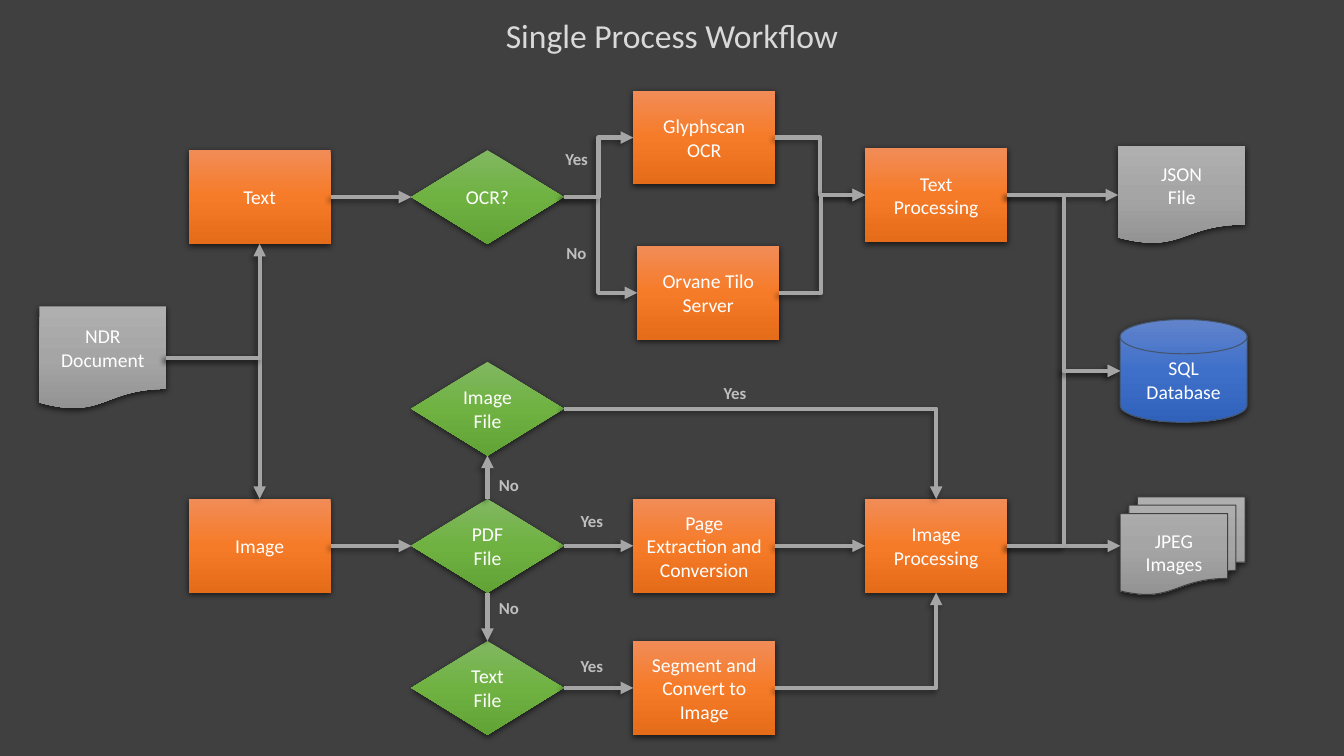
"""Build the Single Process Workflow slide as a flowchart of glued shapes."""
from copy import deepcopy
from dataclasses import dataclass

from lxml import etree
from pptx import Presentation
from pptx import util as u
from pptx.dml.color import RGBColor
from pptx.enum import shapes, text
from pptx.oxml import ns

BACKGROUND = RGBColor(0x40, 0x40, 0x40)
WHITE = RGBColor(0xFF, 0xFF, 0xFF)
TITLE = RGBColor(0xD9, 0xD9, 0xD9)
LABEL = RGBColor(0xBF, 0xBF, 0xBF)
ARROW = RGBColor(0xA5, 0xA5, 0xA5)
DISK_EDGE = RGBColor(0x44, 0x54, 0x6A)
ORANGE = (RGBColor(0xF1, 0x8C, 0x57), RGBColor(0xF6, 0x7B, 0x28), RGBColor(0xE5, 0x6C, 0x19))
GREEN = (RGBColor(0x81, 0xB8, 0x61), RGBColor(0x6F, 0xB2, 0x42), RGBColor(0x62, 0xA3, 0x36))
GRAY = (RGBColor(0xAF, 0xAF, 0xAF), RGBColor(0xA5, 0xA5, 0xA5), RGBColor(0x93, 0x93, 0x93))
BLUE = (RGBColor(0x61, 0x83, 0xCB), RGBColor(0x3E, 0x70, 0xCA), RGBColor(0x30, 0x62, 0xBB))

FONT = "Calibri"
SLIDE_WIDTH, SLIDE_HEIGHT = 13.33, 7.5
TOP, LEFT, BOTTOM, RIGHT = range(4)
DISK_LEFT = 2


@dataclass(frozen=True)
class Kind:
    preset: shapes.MSO_SHAPE
    colors: tuple
    width: float
    height: float
    edge: RGBColor | None = None


@dataclass(frozen=True)
class Step:
    name: str
    kind: Kind
    left: float
    top: float
    wording: str


@dataclass(frozen=True)
class Flow:
    start: str
    end: str
    start_side: int = RIGHT
    end_side: int = LEFT
    route: str = "line"
    bend: float = 0.5


@dataclass(frozen=True)
class Label:
    wording: str
    left: float
    top: float


PROCESS = Kind(shapes.MSO_SHAPE.RECTANGLE, ORANGE, 1.41, 0.93)
DECISION = Kind(shapes.MSO_SHAPE.FLOWCHART_DECISION, GREEN, 1.51, 0.93)
DOCUMENT = Kind(shapes.MSO_SHAPE.FLOWCHART_DOCUMENT, GRAY, 1.26, 1.02)
JSON = Kind(shapes.MSO_SHAPE.FLOWCHART_DOCUMENT, GRAY, 1.26, 0.97)
DISK = Kind(shapes.MSO_SHAPE.FLOWCHART_MAGNETIC_DISK, BLUE, 1.26, 1.02, DISK_EDGE)
STACK = Kind(shapes.MSO_SHAPE.FLOWCHART_MULTIDOCUMENT, GRAY, 1.24, 0.97, BACKGROUND)

BRANCH, CHECK, CONVERT, FINISH = 1.87, 4.08, 6.28, 8.58
TEXT_ROW, IMAGE_ROW, SEGMENT_ROW = 1.49, 4.95, 6.36

STEPS = [
    Step("source", DOCUMENT, 0.39, 3.04, "NDR\nDocument"),
    Step("ocr engine", PROCESS, CONVERT, 0.9, "Glyphscan\nOCR"),
    Step("text server", PROCESS, 6.32, 2.44, "Orvane Tilo\nServer"),
    Step("text processing", PROCESS, FINISH, 1.47, "Text\nProcessing"),
    Step("json", JSON, 11.09, 1.45, "JSON\nFile"),
    Step("database", DISK, 11.11, 3.17, "SQL\nDatabase"),
    Step("jpeg", STACK, 11.11, 4.93, "JPEG\nImages"),
    Step("extraction", PROCESS, CONVERT, IMAGE_ROW, "Page Extraction and Conversion"),
    Step("segment", PROCESS, CONVERT, SEGMENT_ROW, "Segment and Convert to Image"),
    Step("image processing", PROCESS, FINISH, IMAGE_ROW, "Image\nProcessing"),
    Step("image file", DECISION, CHECK, 3.59, "Image File"),
    Step("pdf file", DECISION, CHECK, IMAGE_ROW, "PDF\nFile"),
    Step("text file", DECISION, CHECK, SEGMENT_ROW, "Text File"),
    Step("image", PROCESS, BRANCH, IMAGE_ROW, "Image"),
    Step("text", PROCESS, BRANCH, TEXT_ROW, "Text"),
    Step("ocr", DECISION, CHECK, TEXT_ROW, "OCR?"),
]

FLOWS = [
    Flow("source", "image", end_side=TOP, route="corner"),
    Flow("source", "text", end_side=BOTTOM, route="corner"),
    Flow("image", "pdf file"),
    Flow("pdf file", "extraction"),
    Flow("text file", "segment"),
    Flow("pdf file", "image file", TOP, BOTTOM),
    Flow("pdf file", "text file", BOTTOM, TOP),
    Flow("image file", "image processing", end_side=TOP, route="corner"),
    Flow("segment", "image processing", end_side=BOTTOM, route="corner"),
    Flow("extraction", "image processing"),
    Flow("image processing", "jpeg"),
    Flow("image processing", "database", end_side=DISK_LEFT, route="step"),
    Flow("text processing", "json"),
    Flow("text processing", "database", end_side=DISK_LEFT, route="step"),
    Flow("text", "ocr"),
    Flow("ocr", "text server", route="step", bend=0.47),
    Flow("ocr", "ocr engine", route="step"),
    Flow("ocr engine", "text processing", route="step"),
    Flow("text server", "text processing", route="step", bend=0.49),
]

LABELS = [
    Label("Yes", 5.66, 5.02), Label("No", 4.85, 5.88), Label("No", 4.85, 4.66),
    Label("Yes", 5.66, 6.46), Label("Yes", 7.08, 3.75), Label("No", 5.52, 2.36),
    Label("Yes", 5.51, 1.43),
]


def write(frame, wording: str, *, size: float, color: RGBColor, bold: bool = False,
          align=text.PP_ALIGN.LEFT) -> None:
    frame.word_wrap = True
    frame.text = wording
    for paragraph in frame.paragraphs:
        paragraph.alignment = align
        font = paragraph.runs[0].font
        font.name, font.size, font.bold = FONT, u.Pt(size), bold
        font.color.rgb = color


def add_child(parent, tag: str, **attributes):
    values = {name: str(value) for name, value in attributes.items()}
    return etree.SubElement(parent, ns.qn(f"a:{tag}"), values)


def cast_shadow(effects, blur: float, distance: float, angle: int, opacity: int) -> None:
    shadow = add_child(effects, "outerShdw", blurRad=u.Pt(blur), dist=u.Pt(distance),
                       dir=angle * 60000, algn="ctr", rotWithShape=0)
    color = add_child(shadow, "srgbClr", val="000000")
    add_child(color, "alpha", val=opacity * 1000)


def fill_gradient(shape, colors: tuple) -> None:
    shape.fill.gradient()
    shape.fill.gradient_angle = 270
    stop_list = shape._element.spPr.find(f".//{ns.qn('a:gsLst')}")
    stop_list.append(deepcopy(stop_list[0]))
    for stop, position, color in zip(shape.fill.gradient_stops, (0, 0.5, 1), colors):
        stop.position = position
        stop.color.rgb = color


def draw_step(slide, step: Step):
    kind = step.kind
    shape = slide.shapes.add_shape(kind.preset, u.Inches(step.left), u.Inches(step.top),
                                   u.Inches(kind.width), u.Inches(kind.height))
    fill_gradient(shape, kind.colors)
    if kind.edge is None:
        shape.line.fill.background()
    else:
        shape.line.color.rgb = kind.edge
        shape.line.width = u.Pt(0.75)
    shape.shadow.inherit = False
    cast_shadow(shape._element.spPr.find(ns.qn("a:effectLst")), 4.5, 1.5, 90, 63)
    shape.text_frame.vertical_anchor = text.MSO_ANCHOR.MIDDLE
    write(shape.text_frame, step.wording, size=14, color=WHITE, align=text.PP_ALIGN.CENTER)
    return shape


def draw_flow(slide, flow: Flow, drawn: dict) -> None:
    style = shapes.MSO_CONNECTOR.STRAIGHT if flow.route == "line" else shapes.MSO_CONNECTOR.ELBOW
    connector = slide.shapes.add_connector(style, 0, 0, 0, 0)
    end = drawn[flow.end]
    connector.begin_connect(drawn[flow.start], flow.start_side)
    connector.end_connect(end, flow.end_side)
    if flow.end == "database":
        connector.end_x, connector.end_y = end.left, end.top + end.height // 2
    properties = connector._element.spPr
    geometry = properties.find(ns.qn("a:prstGeom"))
    if flow.route == "corner":
        geometry.set("prst", "bentConnector2")
    elif flow.route == "step":
        guides = geometry.find(ns.qn("a:avLst"))
        add_child(guides, "gd", name="adj1", fmla=f"val {round(flow.bend * 100000)}")
    connector.line.color.rgb = ARROW
    connector.line.width = u.Pt(3)
    add_child(properties.find(ns.qn("a:ln")), "tailEnd", type="triangle")
    cast_shadow(add_child(properties, "effectLst"), 4, 3, 135, 40)


def draw_text(slide, wording: str, left: float, top: float, width: float, height: float,
              **format_options) -> None:
    box = slide.shapes.add_textbox(*map(u.Inches, (left, top, width, height)))
    box.text_frame.auto_size = text.MSO_AUTO_SIZE.SHAPE_TO_FIT_TEXT
    write(box.text_frame, wording, **format_options)


def main() -> None:
    presentation = Presentation()
    presentation.slide_width = u.Inches(SLIDE_WIDTH)
    presentation.slide_height = u.Inches(SLIDE_HEIGHT)
    slide = presentation.slides.add_slide(presentation.slide_layouts[6])
    slide.background.fill.solid()
    slide.background.fill.fore_color.rgb = BACKGROUND
    drawn = {step.name: draw_step(slide, step) for step in STEPS}
    for flow in FLOWS:
        draw_flow(slide, flow, drawn)
    for label in LABELS:
        draw_text(slide, label.wording, label.left, label.top, 0.53, 0.3,
                  size=12, color=LABEL, bold=True)
    draw_text(slide, "Single Process Workflow", 0, 0.1, SLIDE_WIDTH, 0.5,
              size=24, color=TITLE, align=text.PP_ALIGN.CENTER)
    presentation.save("out.pptx")


if __name__ == "__main__":
    main()
